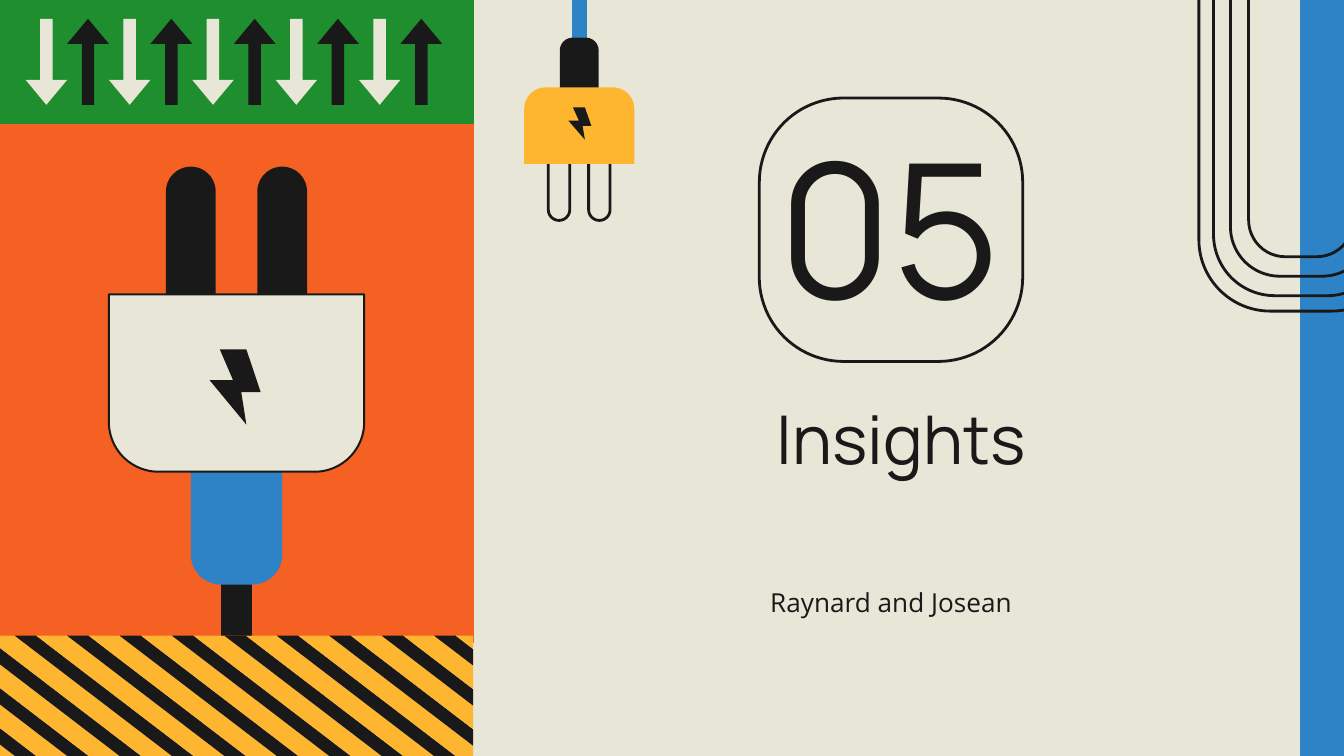
"""Build the "05 Insights" section slide with plug illustrations."""
from pptx import Presentation
from pptx.dml.color import RGBColor
from pptx.enum.shapes import MSO_SHAPE as Shp
from pptx.enum.text import MSO_ANCHOR as Anchor, PP_ALIGN as Align
from pptx.util import Inches, Pt

CREAM = RGBColor(0xE8, 0xE6, 0xD6)
INK = RGBColor(0x19, 0x19, 0x19)
BLUE = RGBColor(0x2E, 0x83, 0xC7)
ORANGE = RGBColor(0xF4, 0x61, 0x23)
GREEN = RGBColor(0x1F, 0x8E, 0x2E)
YELLOW = RGBColor(0xFE, 0xB5, 0x30)

W, H = 10, 10 * 9 / 16
PANEL_L, PANEL_R = -0.01, 3.52
PANEL_W = PANEL_R - PANEL_L

TEXTS = [
    ("Insights", (3.58, 2.86, 6.25, 1.56), "Manrope", 36, Anchor.TOP, 0.1),
    ("05", (5.49, 1.11, 2.26, 1.21), "Manrope", 100, Anchor.MIDDLE, 0),
    ("Raynard and Josean", (4.49, 4.26, 4.28, 0.47), "Open Sans", 14, Anchor.TOP, 0.1),
]

RING_CENTER = (9.68, -0.29)
RINGS = [(5.21, 1.52), (4.98, 1.3), (4.69, 1.05), (4.4, 0.78)]

BIG_AXIS, SMALL_AXIS = 1.76, 4.31
BIG_PLUG = [
    (Shp.RECTANGLE, 0, 3.86, 0.23, 0.87, None, 0, INK, None, 0),
    (Shp.ROUNDED_RECTANGLE, 0, 2.85, 0.68, 1.5, 0.33, 0, BLUE, None, 0),
    (Shp.ROUNDED_RECTANGLE, 0.34, 1.24, 0.37, 1.73, 0.5, 0, INK, None, 0),
    (Shp.ROUNDED_RECTANGLE, -0.34, 1.24, 0.37, 1.73, 0.5, 0, INK, None, 0),
    (Shp.ROUND_2_SAME_RECTANGLE, 0, 2.19, 1.9, 1.32, 0.28, 180, CREAM, INK, 1.09),
]
SMALL_PLUG = [
    (Shp.RECTANGLE, 0, -0.02, 0.1, 0.6, None, 0, BLUE, BLUE, 0.75),
    (Shp.ROUNDED_RECTANGLE, 0, 0.28, 0.29, 0.65, 0.33, 0, INK, None, 0),
    (Shp.ROUNDED_RECTANGLE, -0.15, 0.89, 0.16, 0.75, 0.5, 0, None, INK, 1.5),
    (Shp.ROUNDED_RECTANGLE, 0.15, 0.89, 0.16, 0.75, 0.5, 0, None, INK, 1.5),
    (Shp.ROUND_2_SAME_RECTANGLE, 0, 0.65, 0.82, 0.57, 0.28, 0, YELLOW, None, 0),
]
BOLT = [(0.2, 0), (0.72, 0), (1, 0.57), (0.62, 0.57), (0.72, 1), (0, 0.41), (0.46, 0.41)]
BOLT_BOXES = [(1.56, 2.6, 0.38, 0.56), (4.23, 0.8, 0.17, 0.24)]

ARROWS, ARROW_LEFT, ARROW_STEP = 10, 0.19, 0.31
ARROW_SIZE = (0.14, 0.31, 0.64)

STRIPE_TOP, STRIPE_RUN = 4.73, 1.17
STRIPE_START, STRIPE_PITCH, INK_WIDTH = 0.11, 0.39, 0.16


def style(sp, fill, line, width):
    sp.shadow.inherit = False
    if fill is None:
        sp.fill.background()
    else:
        sp.fill.solid()
        sp.fill.fore_color.rgb = fill
    if line is None:
        sp.line.fill.background()
    else:
        sp.line.color.rgb = line
        sp.line.width = Pt(width)


def add_preset(s, kind, box, fill=None, line=None, width=0.75, adj=(), rot=0):
    sp = s.shapes.add_shape(kind, *map(Inches, box))
    for i, value in enumerate(adj):
        sp.adjustments[i] = value
    sp.rotation = rot
    style(sp, fill, line, width)


def add_polygon(s, points, fill):
    pts = [(Inches(x), Inches(y)) for x, y in points]
    fb = s.shapes.build_freeform(*pts[0], scale=1.0)
    fb.add_line_segments(pts[1:], close=True)
    style(fb.convert_to_shape(), fill, None, 0)


def clip(points, edge, side):
    kept = []
    for (x0, y0), (x1, y1) in zip(points, points[1:] + points[:1]):
        inside0, inside1 = side * (x0 - edge) >= 0, side * (x1 - edge) >= 0
        if inside0:
            kept.append((x0, y0))
        if inside0 != inside1:
            kept.append((edge, y0 + (y1 - y0) * (edge - x0) / (x1 - x0)))
    return kept


def add_stripe(s, left, right, fill):
    band = [(left, STRIPE_TOP), (right, STRIPE_TOP),
            (right + STRIPE_RUN, H), (left + STRIPE_RUN, H)]
    band = clip(clip(band, PANEL_L, 1), PANEL_R, -1)
    if band:
        add_polygon(s, band, fill)


def add_plug(s, axis, parts):
    for kind, dx, top, w, h, adj, rot, fill, line, width in parts:
        adj = () if adj is None else (adj,)
        add_preset(s, kind, (axis + dx - w / 2, top, w, h), fill, line, width, adj, rot)


def add_text(s, text, box, font, size, anchor, inset_top):
    tf = s.shapes.add_textbox(*map(Inches, box)).text_frame
    tf.word_wrap = True
    tf.vertical_anchor = anchor
    tf.margin_left = tf.margin_right = tf.margin_bottom = Inches(0.1)
    tf.margin_top = Inches(inset_top)
    p = tf.paragraphs[0]
    p.alignment = Align.CENTER
    r = p.add_run()
    r.text = text
    r.font.name, r.font.size = font, Pt(size)
    r.font.color.rgb = INK


def main():
    prs = Presentation()
    prs.slide_width, prs.slide_height = Inches(W), Inches(H)
    s = prs.slides.add_slide(prs.slide_layouts[6])
    s.background.fill.solid()
    s.background.fill.fore_color.rgb = CREAM

    add_preset(s, Shp.RECTANGLE, (9.68, 0, 0.32, H), BLUE, BLUE)
    cx, cy = RING_CENTER
    for w, h in RINGS:
        add_preset(s, Shp.ROUNDED_RECTANGLE, (cx - w / 2, cy - h / 2, w, h),
                   line=INK, width=1.5, adj=(0.35,), rot=270)

    add_preset(s, Shp.RECTANGLE, (PANEL_L, 0.85, PANEL_W, 3.93), ORANGE, ORANGE)
    add_preset(s, Shp.RECTANGLE, (PANEL_L, 0, PANEL_W, 0.92), GREEN, GREEN)
    for k in range(-4, 9):
        left = STRIPE_START + k * STRIPE_PITCH
        add_stripe(s, left, left + INK_WIDTH, INK)
        add_stripe(s, left + INK_WIDTH, left + STRIPE_PITCH, YELLOW)

    add_preset(s, Shp.ROUNDED_RECTANGLE, (5.65, 0.73, 1.96, 1.96),
               line=INK, width=1.5, adj=(0.32,))
    for item in TEXTS:
        add_text(s, *item)

    add_plug(s, BIG_AXIS, BIG_PLUG)
    for k in range(ARROWS):
        kind, fill = ((Shp.DOWN_ARROW, CREAM), (Shp.UP_ARROW, INK))[k % 2]
        top, w, h = ARROW_SIZE
        add_preset(s, kind, (ARROW_LEFT + k * ARROW_STEP, top, w, h), fill, adj=(0.3, 0.6))
    add_plug(s, SMALL_AXIS, SMALL_PLUG)
    for left, top, w, h in BOLT_BOXES:
        add_polygon(s, [(left + x * w, top + y * h) for x, y in BOLT], INK)

    prs.save("out.pptx")


if __name__ == "__main__":
    main()
